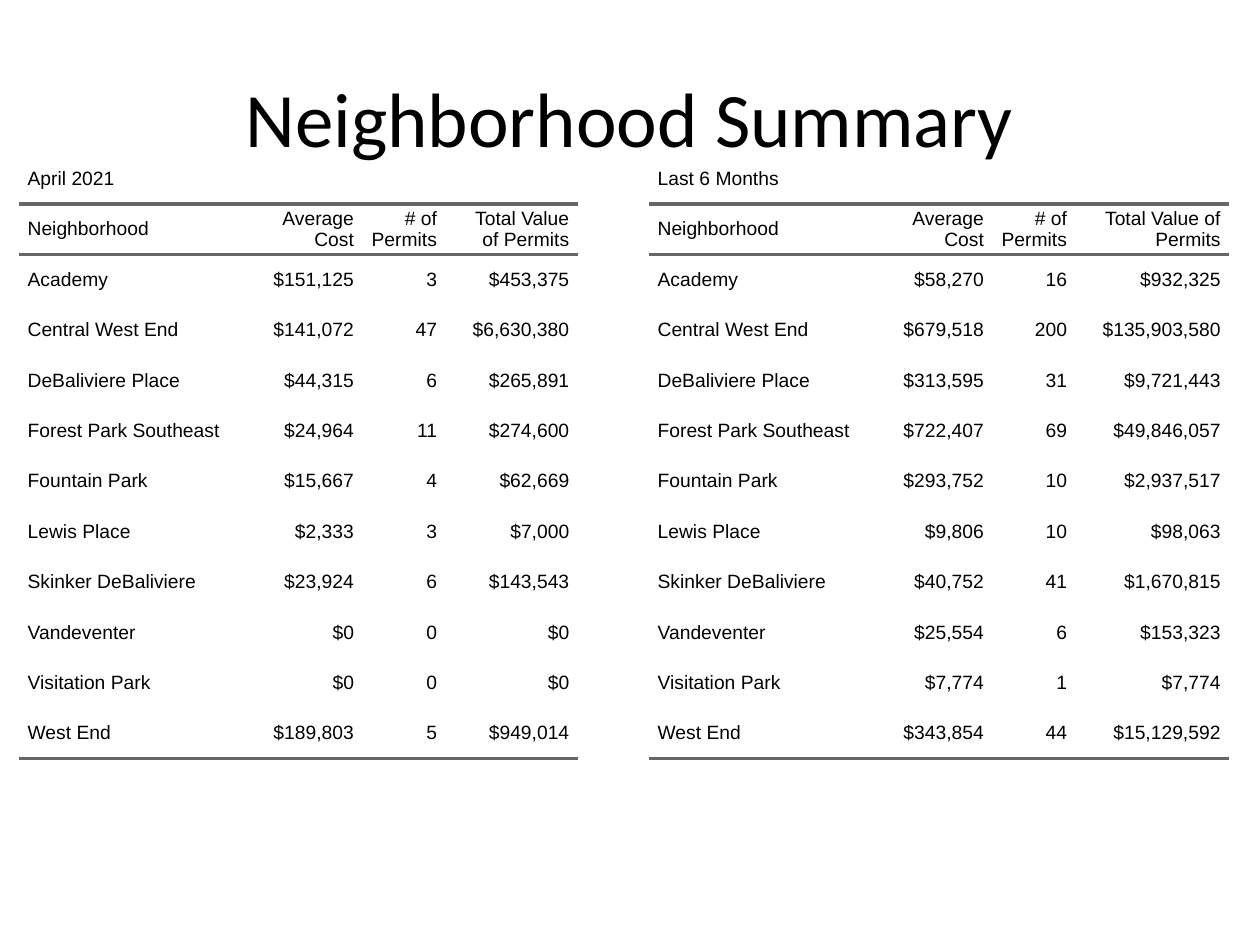
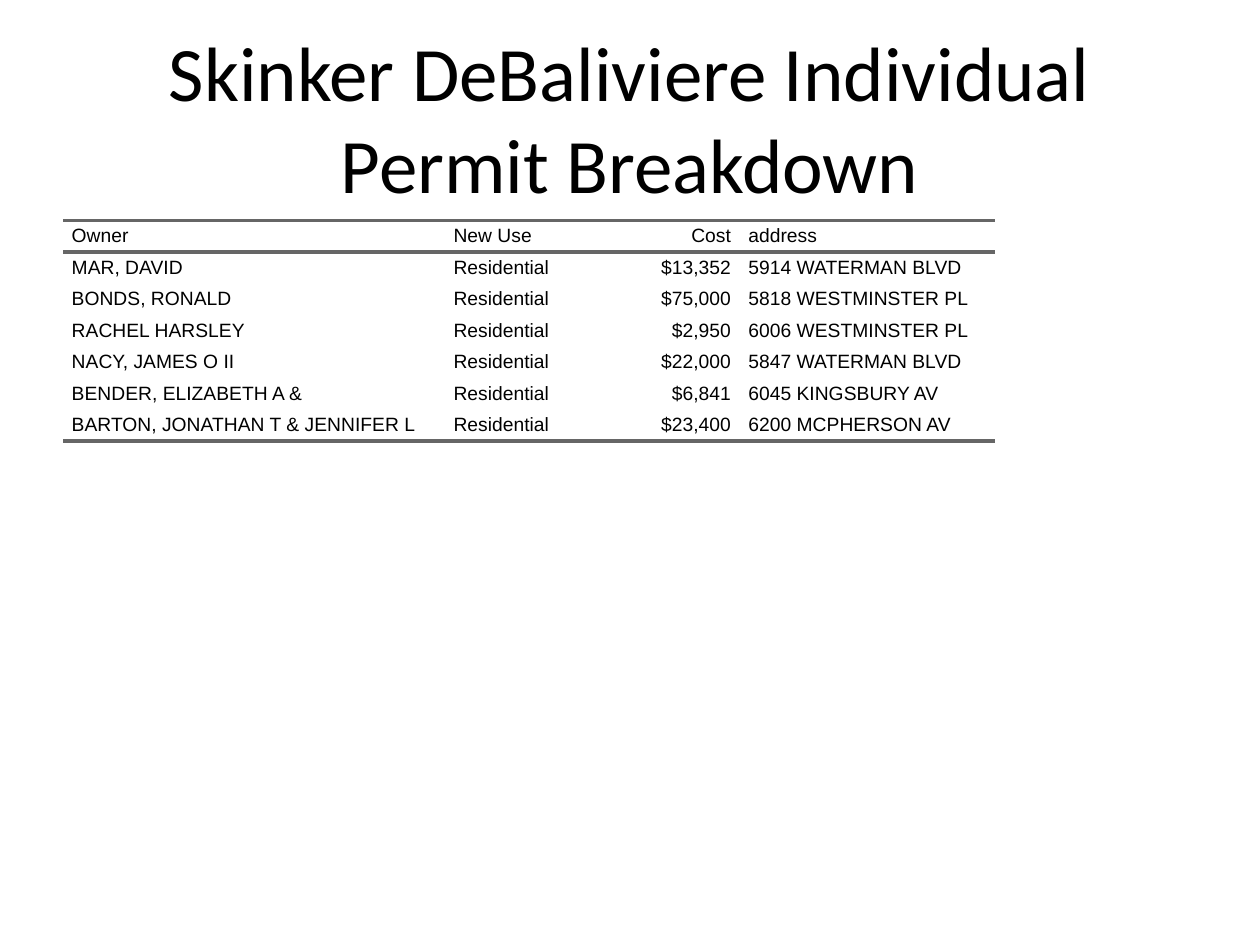
from dataclasses import dataclass

from lxml import etree
from pptx import Presentation
from pptx.dml.color import RGBColor as Color
from pptx.enum.text import MSO_ANCHOR as Anchor, MSO_AUTO_SIZE as AutoSize, PP_ALIGN as Align
from pptx.oxml.ns import qn
from pptx.util import Pt


@dataclass(frozen=True)
class Theme:
    text: str = "000000"
    rule: str = "666666"
    rule_width: float = 2
    title_font: str = "Calibri"
    title_size: float = 44
    table_font: str = "Arial"
    table_size: float = 11
    cell_inset: float = 5
    plain_style: str = "{2D5ABB26-0587-4C30-8999-92F81FD0307C}"


THEME = Theme()
BLANK_LAYOUT = 6

NEIGHBORHOODS = [
    "Academy", "Central West End", "DeBaliviere Place", "Forest Park Southeast",
    "Fountain Park", "Lewis Place", "Skinker DeBaliviere", "Vandeventer",
    "Visitation Park", "West End",
]
SUMMARY_HEADER = ("Neighborhood", "Average Cost", "# of Permits", "Total Value of Permits")
APRIL_FIGURES = [
    (151125, 3, 453375), (141072, 47, 6630380), (44315, 6, 265891),
    (24964, 11, 274600), (15667, 4, 62669), (2333, 3, 7000),
    (23924, 6, 143543), (0, 0, 0), (0, 0, 0), (189803, 5, 949014),
]
HALF_YEAR_FIGURES = [
    (58270, 16, 932325), (679518, 200, 135903580), (313595, 31, 9721443),
    (722407, 69, 49846057), (293752, 10, 2937517), (9806, 10, 98063),
    (40752, 41, 1670815), (25554, 6, 153323), (7774, 1, 7774),
    (343854, 44, 15129592),
]
PERMIT_HEADER = ("Owner", "New Use", "Cost", "address")
PERMITS = [
    ("MAR, DAVID", 13352, "5914 WATERMAN BLVD"),
    ("BONDS, RONALD", 75000, "5818 WESTMINSTER PL"),
    ("RACHEL HARSLEY", 2950, "6006 WESTMINSTER PL"),
    ("NACY, JAMES O II", 22000, "5847 WATERMAN BLVD"),
    ("BENDER, ELIZABETH A &", 6841, "6045 KINGSBURY AV"),
    ("BARTON, JONATHAN T & JENNIFER L", 23400, "6200 MCPHERSON AV"),
]


def dollars(amount):
    return f"${amount:,}"


def write(para, text, font_name, size, align):
    para.text = text
    para.alignment = align
    para.font.name = font_name
    para.font.size = Pt(size)
    para.font.color.rgb = Color.from_string(THEME.text)


def add_titled_slide(deck, title):
    page = deck.slides.add_slide(deck.slide_layouts[BLANK_LAYOUT])
    box = page.shapes.add_textbox(Pt(36), Pt(21.6), Pt(648), Pt(90))
    frame = box.text_frame
    frame.word_wrap = True
    frame.auto_size = AutoSize.NONE
    frame.vertical_anchor = Anchor.MIDDLE
    write(frame.paragraphs[0], title, THEME.title_font, THEME.title_size, Align.CENTER)
    return page


def add_rule(cell, side):
    line = etree.SubElement(cell._tc.get_or_add_tcPr(), qn(f"a:{side}"),
                            w=str(Pt(THEME.rule_width)))
    fill = etree.SubElement(line, qn("a:solidFill"))
    etree.SubElement(fill, qn("a:srgbClr"), val=THEME.rule)


def fill_cell(cell, text, align, rules):
    cell.vertical_anchor = Anchor.MIDDLE
    cell.margin_left = cell.margin_right = Pt(THEME.cell_inset)
    cell.margin_top = cell.margin_bottom = 0
    for side in rules:
        add_rule(cell, side)
    cell.fill.background()
    write(cell.text_frame.paragraphs[0], text, THEME.table_font, THEME.table_size, align)


def add_ruled_table(page, left, top, widths, row_height, rows, right_columns, caption=None):
    header_row = 0
    if caption:
        rows = [(caption,) + ("",) * (len(widths) - 1)] + rows
        header_row = 1
    last_row = len(rows) - 1
    table = page.shapes.add_table(len(rows), len(widths), Pt(left), Pt(top),
                                  Pt(sum(widths)), Pt(row_height * len(rows))).table
    table.first_row = table.horz_banding = False
    table._tbl.tblPr.find(qn("a:tableStyleId")).text = THEME.plain_style
    for column, width in zip(table.columns, widths):
        column.width = Pt(width)
    rules = {header_row: ("lnT", "lnB"), last_row: ("lnB",)}
    for row_index, values in enumerate(rows):
        table.rows[row_index].height = Pt(row_height)
        for column_index, value in enumerate(values):
            align = Align.RIGHT if column_index in right_columns else Align.LEFT
            fill_cell(table.cell(row_index, column_index), value, align,
                      rules.get(row_index, ()))
    if caption:
        table.cell(0, 0).merge(table.cell(0, len(widths) - 1))


def add_summary_table(page, left, caption, figures, total_width):
    rows = [SUMMARY_HEADER] + [
        (name, dollars(average), str(count), dollars(total))
        for name, (average, count, total) in zip(NEIGHBORHOODS, figures)
    ]
    add_ruled_table(page, left, 87.8, (130.3, 66.2, 47.5, total_width), 28.8, rows,
                    (1, 2, 3), caption)


def add_summary_slide(deck):
    page = add_titled_slide(deck, "Neighborhood Summary")
    add_summary_table(page, 10.8, "April 2021", APRIL_FIGURES, 75.6)
    add_summary_table(page, 370.8, "Last 6 Months", HALF_YEAR_FIGURES, 87.8)


def add_permit_slide(deck):
    page = add_titled_slide(deck, "Skinker DeBaliviere Individual Permit Breakdown")
    rows = [PERMIT_HEADER] + [
        (owner, "Residential", dollars(cost), address) for owner, cost, address in PERMITS
    ]
    add_ruled_table(page, 36, 126, (218.2, 74.9, 93.6, 146.2), 18, rows, (2,))


def main():
    deck = Presentation()
    deck.slide_width, deck.slide_height = Pt(720), Pt(540)
    add_summary_slide(deck)
    add_permit_slide(deck)
    deck.save("out.pptx")


if __name__ == "__main__":
    main()
